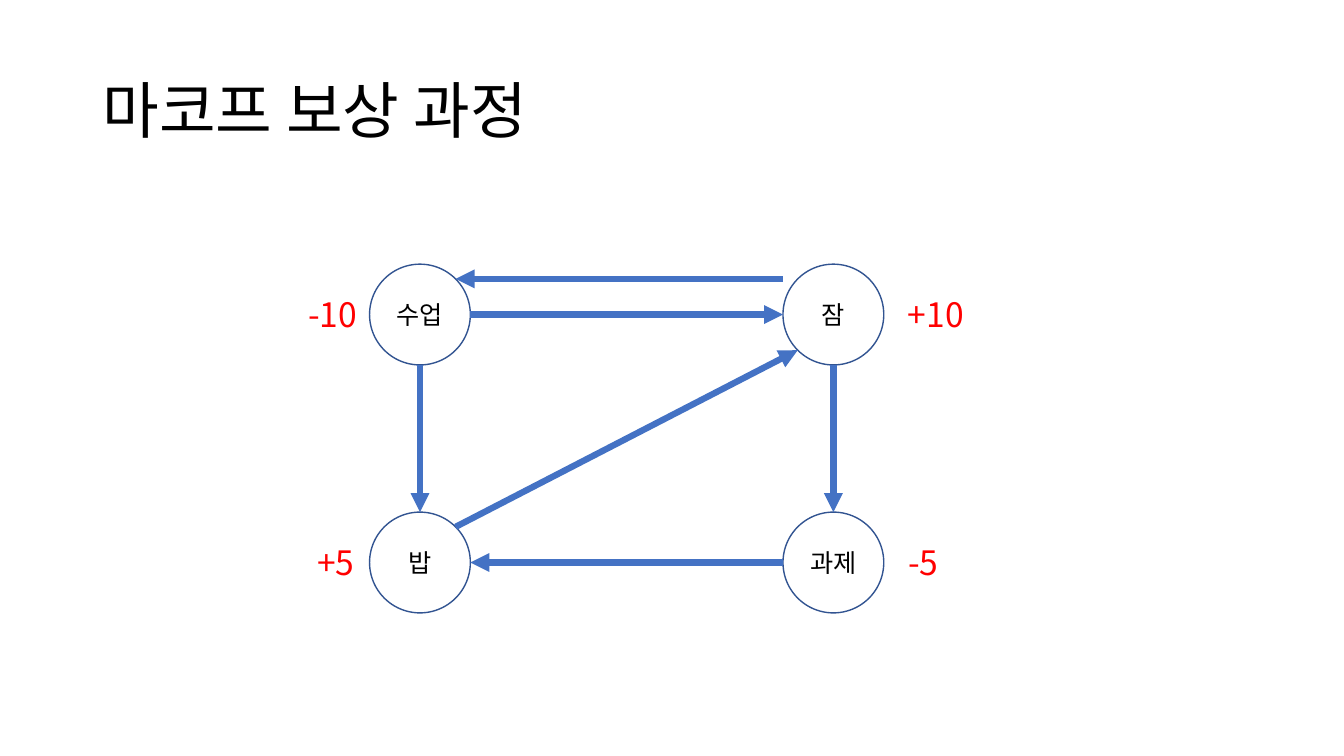
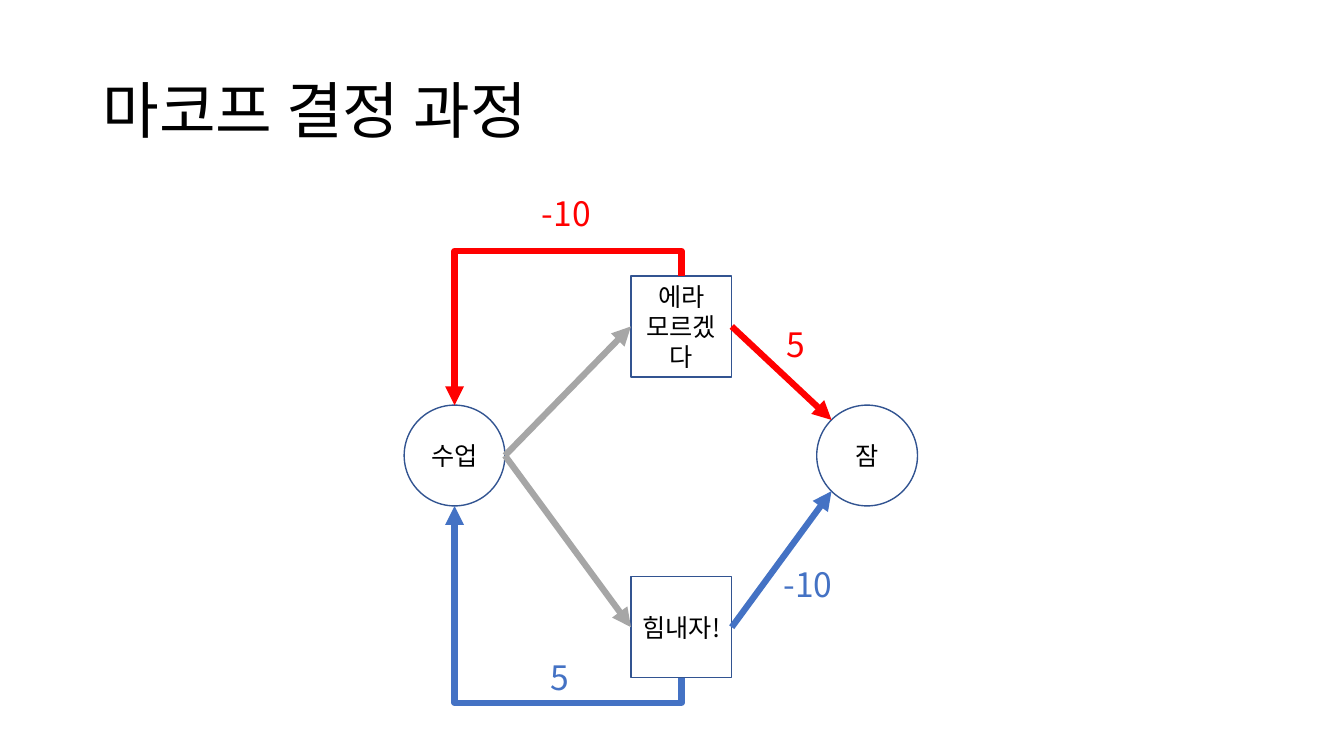
"""Builds two diagram slides on Markov reward and decision processes."""
from math import cos, radians, sin

from lxml import etree
from pptx import Presentation
from pptx.dml.color import RGBColor
from pptx.enum.shapes import MSO_CONNECTOR, MSO_SHAPE
from pptx.enum.text import MSO_ANCHOR, MSO_AUTO_SIZE, PP_ALIGN
from pptx.oxml.ns import qn
from pptx.util import Pt

CIRCLE, SQUARE = MSO_SHAPE.OVAL, MSO_SHAPE.RECTANGLE
STRAIGHT, ELBOW = MSO_CONNECTOR.STRAIGHT, MSO_CONNECTOR.ELBOW
LEFT, CENTER = PP_ALIGN.LEFT, PP_ALIGN.CENTER
MIDDLE, FIT_SHAPE = MSO_ANCHOR.MIDDLE, MSO_AUTO_SIZE.SHAPE_TO_FIT_TEXT
FONT = "Noto Sans CJK KR"
COLORS = {"black": "000000", "white": "FFFFFF", "outline": "325491",
          "blue": "4472C4", "red": "FF0000", "gray": "A6A6A6"}
NODE = 72
ELBOW_GAP = 18


def rgb(name):
    return RGBColor.from_string(COLORS[name])


class Deck:
    """Holds the shared style and the current slide."""

    def __init__(self):
        self.prs = Presentation()
        self.prs.slide_width, self.prs.slide_height = Pt(960), Pt(540)
        self.slide = None

    def set_text(self, tf, text, size, color, align):
        p = tf.paragraphs[0]
        p.text = text
        p.alignment = align
        p.font.size = Pt(size)
        p.font.name = FONT
        p.font.color.rgb = rgb(color)
        def_rpr = p._p.find(".//" + qn("a:defRPr"))
        etree.SubElement(def_rpr, qn("a:ea"), typeface=FONT)
        return p

    def new_slide(self, title):
        self.slide = self.prs.slides.add_slide(self.prs.slide_layouts[5])
        sp = self.slide.shapes.title
        sp.left, sp.top, sp.width, sp.height = Pt(66), Pt(28.8), Pt(828), Pt(104.4)
        sp.text_frame.vertical_anchor = MIDDLE
        self.set_text(sp.text_frame, title, 44, "black", LEFT).line_spacing = 0.9

    def node(self, text, x, y, kind=CIRCLE):
        sp = self.slide.shapes.add_shape(kind, Pt(x), Pt(y), Pt(NODE), Pt(NODE))
        sp.shadow.inherit = False
        sp.fill.solid()
        sp.fill.fore_color.rgb = rgb("white")
        sp.line.color.rgb = rgb("outline")
        sp.line.width = Pt(1)
        sp.text_frame.vertical_anchor = MIDDLE
        self.set_text(sp.text_frame, text, 18, "black", CENTER)
        return sp

    def site(self, node, angle):
        r = NODE / 2
        return (node.left.pt + r + r * cos(radians(angle)),
                node.top.pt + r - r * sin(radians(angle)))

    def arrow(self, start, end, color="blue", kind=STRAIGHT):
        c = self.slide.shapes.add_connector(kind, *(Pt(v) for v in (*start, *end)))
        c.line.color.rgb = rgb(color)
        c.line.width = Pt(4.5)
        sp_pr = c._element.spPr
        etree.SubElement(sp_pr.find(qn("a:ln")), qn("a:tailEnd"), type="triangle")
        etree.SubElement(sp_pr, qn("a:effectLst"))
        return c

    def elbow(self, start, end, color):
        (x1, y1), (x2, y2) = start, end
        cx, cy = (x1 + x2) / 2, (y1 + y2) / 2
        down = y2 > y1
        w = abs(y2 - y1) / 2
        h = abs(x2 - x1) / 2 * (1 if down else -1)
        c = self.arrow((cx + w, cy + h), (cx - w, cy - h), color, ELBOW)
        sp_pr = c._element.spPr
        sp_pr.find(qn("a:xfrm")).set("rot", str((270 if down else 90) * 60000))
        adj = round(-ELBOW_GAP / (2 * w) * 100000)
        etree.SubElement(sp_pr.find(".//" + qn("a:avLst")), qn("a:gd"),
                         name="adj1", fmla=f"val {adj}")

    def label(self, text, x, y, width, color="red"):
        sp = self.slide.shapes.add_textbox(Pt(x), Pt(y), Pt(width), Pt(36))
        sp.text_frame.word_wrap = False
        sp.text_frame.auto_size = FIT_SHAPE
        self.set_text(sp.text_frame, text, 24, color, LEFT)


def reward_slide(deck):
    deck.new_slide("마코프 보상 과정")
    left, right, top, bottom = 264, 559.3, 188.7, 365.8
    study = deck.node("수업", left, top)
    sleep = deck.node("잠", right, top)
    homework = deck.node("과제", right, bottom)
    meal = deck.node("밥", left, bottom)
    for a, a_angle, b, b_angle in ((study, 270, meal, 90), (study, 0, sleep, 180),
                                   (sleep, 270, homework, 90),
                                   (homework, 180, meal, 0), (meal, 45, sleep, 225)):
        deck.arrow(deck.site(a, a_angle), deck.site(b, b_angle))
    back = deck.site(study, 45)
    deck.arrow((right, back[1]), back)
    for text, x, y, width in (("-10", 213, top, 51), ("+10", 641.5, top, 58),
                              ("-5", 641.5, bottom, 38), ("+5", 219.5, bottom, 45)):
        deck.label(text, x, y + 18, width)


def decision_slide(deck):
    deck.new_slide("마코프 결정 과정")
    study = deck.node("수업", 288.7, 289.4)
    sleep = deck.node("잠", 583.4, 289.4)
    give_up = deck.node("에라 모르겠다", 450.7, 197.2, SQUARE)
    cheer_up = deck.node("힘내자!", 450.7, 412, SQUARE)
    for action, color, out, entry in ((give_up, "red", 90, 135),
                                      (cheer_up, "blue", 270, 225)):
        deck.arrow(deck.site(study, 0), deck.site(action, 180), "gray")
        deck.elbow(deck.site(action, out), deck.site(study, out), color)
        deck.arrow(deck.site(action, 0), deck.site(sleep, entry), color)
    for text, x, y, width, color in (("-10", 380, 134, 51, "red"),
                                     ("5", 555, 227.5, 28, "red"),
                                     ("-10", 552.5, 399.6, 51, "blue"),
                                     ("5", 386.5, 466, 28, "blue")):
        deck.label(text, x, y, width, color)


def main():
    deck = Deck()
    reward_slide(deck)
    decision_slide(deck)
    deck.prs.save("out.pptx")


if __name__ == "__main__":
    main()
